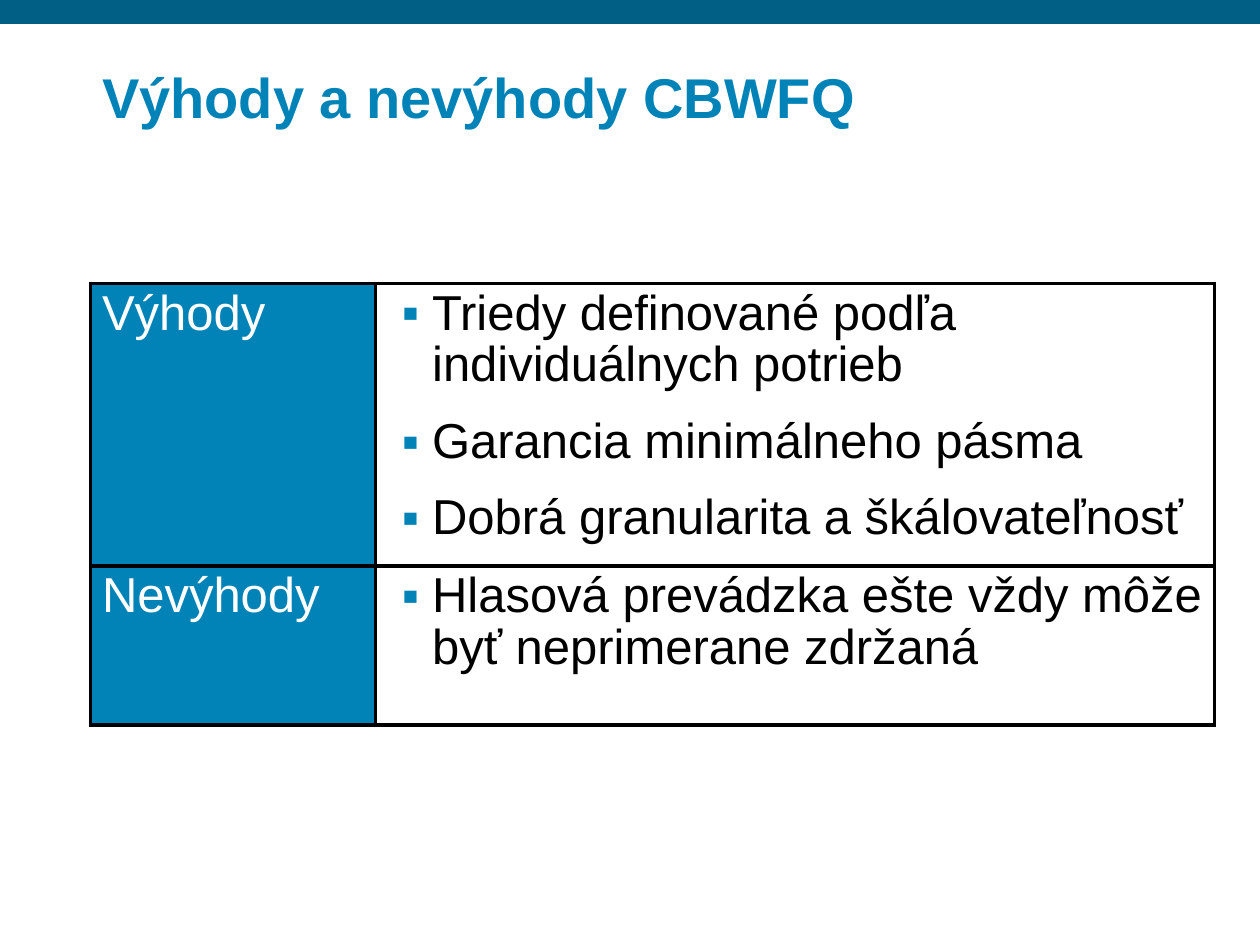
from pptx import Presentation
from pptx.dml.color import RGBColor
from pptx.enum.shapes import MSO_SHAPE
from pptx.enum.text import MSO_ANCHOR
from pptx.oxml import parse_xml
from pptx.oxml.ns import nsdecls
from pptx.util import Inches, Pt

BLUE, DARK, WHITE, BLACK = "0183B7", "015F85", "FFFFFF", "000000"
LEFT = Inches(0.72)
COLS = [2.26, 6.66]
ROWS = [2.24, 1.26]
PAD_X, PAD_Y = Inches(0.09), Inches(0.04)


def rgb(code):
    return RGBColor.from_string(code)


def style(para, size, color, bold=False):
    para.font.name = "Arial"
    para.font.size = Pt(size)
    para.font.bold = bold
    para.font.color.rgb = rgb(color)


prs = Presentation()
prs.slide_width, prs.slide_height = Inches(10), Inches(7.5)
slide = prs.slides.add_slide(prs.slide_layouts[6])

# Top band
band = slide.shapes.add_shape(MSO_SHAPE.RECTANGLE, 0, 0, prs.slide_width, Inches(0.19))
band.shadow.inherit = False
band.fill.solid()
band.fill.fore_color.rgb = rgb(DARK)
band.line.fill.background()

# Title
title = slide.shapes.add_textbox(LEFT, Inches(0.33), Inches(8.91), Inches(0.75))
frame = title.text_frame
frame.word_wrap = True
frame.vertical_anchor = MSO_ANCHOR.BOTTOM
frame.margin_left = frame.margin_right = PAD_X
frame.margin_top = frame.margin_bottom = PAD_Y
para = frame.paragraphs[0]
para.text = "Výhody a nevýhody CBWFQ"
para.line_spacing = 0.9
style(para, 32, BLUE, True)

# Table of pros and cons
data = [
    ("Výhody", ["Triedy definované podľa individuálnych potrieb",
                "Garancia minimálneho pásma",
                "Dobrá granularita a škálovateľnosť"]),
    ("Nevýhody", ["Hlasová prevádzka ešte vždy môže byť neprimerane zdržaná"]),
]
table = slide.shapes.add_table(len(ROWS), len(COLS), LEFT, Inches(2.25),
                               Inches(sum(COLS)), Inches(sum(ROWS))).table
table.first_row = table.horz_banding = False
for col, width in zip(table.columns, COLS):
    col.width = Inches(width)
for row, height in zip(table.rows, ROWS):
    row.height = Inches(height)

for row, (head, points) in zip(table.rows, data):
    looks = [([head], WHITE, BLUE, False), (points, BLACK, WHITE, True)]
    for cell, (lines, ink, back, listed) in zip(row.cells, looks):
        cell.margin_left = cell.margin_right = PAD_X
        cell.margin_top = cell.margin_bottom = PAD_Y
        props = cell._tc.get_or_add_tcPr()
        for side in "LRTB":
            props.append(parse_xml(
                f'<a:ln{side} {nsdecls("a")} w="{Pt(2.25)}"><a:solidFill>'
                f'<a:srgbClr val="{BLACK}"/></a:solidFill></a:ln{side}>'))
        cell.fill.solid()
        cell.fill.fore_color.rgb = rgb(back)
        cell.text_frame.text = "\n".join(lines)
        for i, para in enumerate(cell.text_frame.paragraphs):
            para.line_spacing = 0.95
            if i:
                para.space_before = Pt(14)
            if listed:
                para.level = 1
                mark = para._p.get_or_add_pPr()
                mark.set("marL", str(Inches(0.36)))
                mark.set("indent", str(Inches(-0.24)))
                for xml in (f'<a:buClr {nsdecls("a")}><a:srgbClr val="{BLUE}"/></a:buClr>',
                            f'<a:buFont {nsdecls("a")} typeface="Arial"/>',
                            f'<a:buChar {nsdecls("a")} char="▪"/>'):
                    mark.append(parse_xml(xml))
            style(para, 28, ink)

prs.save("out.pptx")
